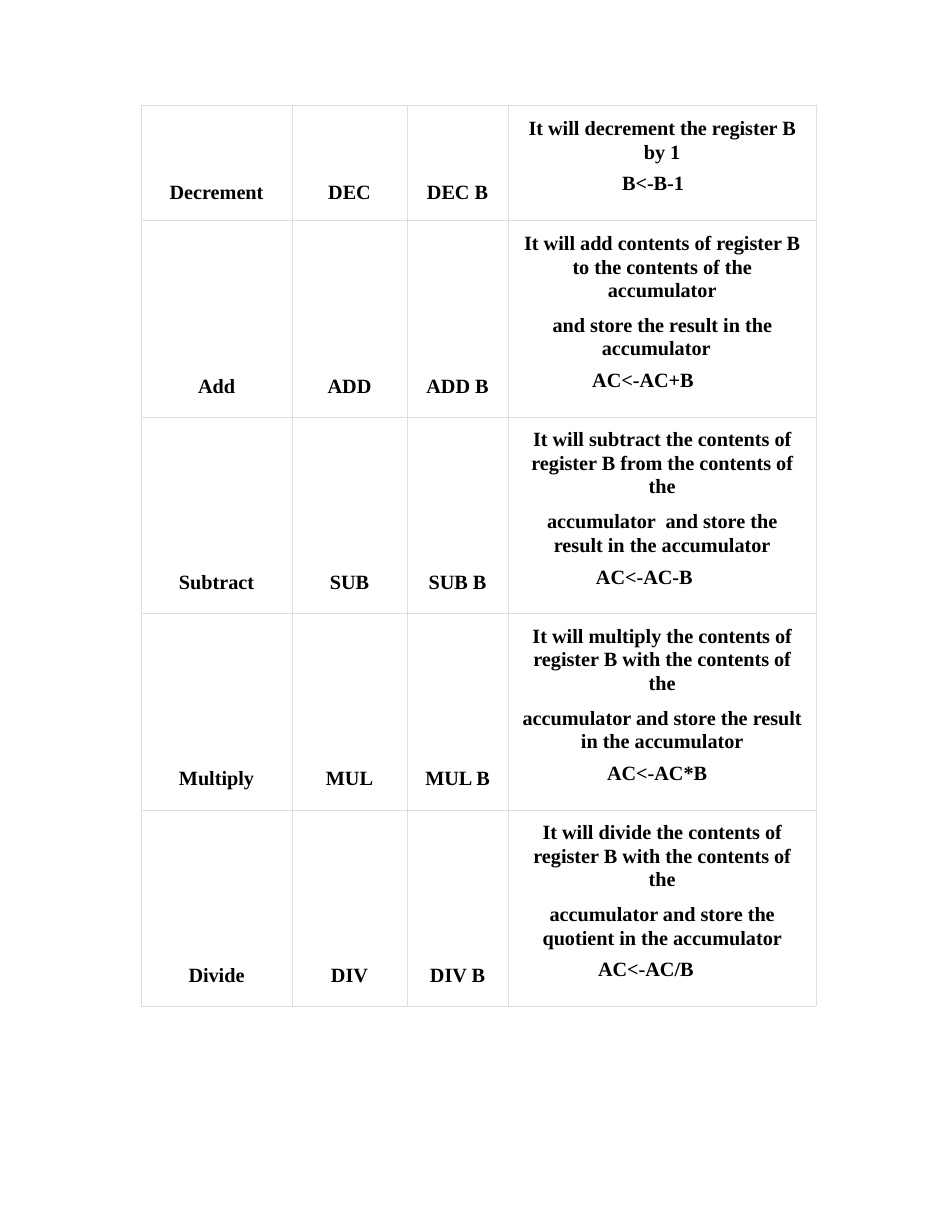
from collections import namedtuple
from dataclasses import dataclass

from lxml.etree import SubElement
from pptx import Presentation
from pptx.dml.color import RGBColor
from pptx.enum.text import MSO_ANCHOR, PP_ALIGN
from pptx.oxml.ns import qn
from pptx.util import Cm, Pt


@dataclass(frozen=True)
class Theme:
    """Colours, font and type sizes of the slide."""
    font: str = "Times New Roman"
    size: Pt = Pt(13)
    leading: Pt = Pt(15.1)
    ink: RGBColor = RGBColor(0, 0, 0)
    rule: str = "DFDFDF"
    rule_width: Pt = Pt(0.25)


THEME = Theme()
Box = namedtuple("Box", "left top width height")
Para = namedtuple("Para", "text left right hang before", defaults=(0, 7.2))
Row = namedtuple("Row", "name mnemonic share label_gap details")

COLUMN_SHARES = (3.42, 2.61, 2.29, 6.99)
FORMULA_SPACE = 6.2


def body(text, margin):
    """Describe a centred paragraph with equal side margins."""
    return Para(text, margin, margin)


def formula(text, right):
    """Describe a register transfer line shifted left by its right margin."""
    return Para(text, 0, right, before=FORMULA_SPACE)


ROWS = (
    Row("Decrement", "DEC", 2.61, 0.37, (
        body("It will decrement the register B by 1", 0.4),
        formula("B<-B-1", 0.41))),
    Row("Add", "ADD", 4.46, 0.44, (
        body("It will add contents of register B to the contents of the accumulator", 0.28),
        Para("and store the result in the accumulator", 2.13, 0, -1.12),
        formula("AC<-AC+B", 0.87))),
    Row("Subtract", "SUB", 4.46, 0.44, (
        body("It will subtract the contents of register B from the contents of the", 0.45),
        body("accumulator  and store the result in the accumulator", 0.82),
        formula("AC<-AC-B", 0.81))),
    Row("Multiply", "MUL", 4.46, 0.44, (
        body("It will multiply the contents of register B with the contents of the", 0.5),
        body("accumulator and store the result in the accumulator", 0.25),
        formula("AC<-AC*B", 0.23))),
    Row("Divide", "DIV", 4.46, 0.44, (
        body("It will divide the contents of register B with the contents of the", 0.5),
        body("accumulator and store the quotient in the accumulator", 0.72),
        formula("AC<-AC/B", 0.74))),
)


def add_text(p, text):
    """Add one bold run to a paragraph."""
    r = p.add_run()
    r.text = text
    r.font.name, r.font.size, r.font.bold = THEME.font, THEME.size, True
    r.font.color.rgb = THEME.ink


def style_cell(cell, top=0, bottom=0):
    """Give a cell its margins, thin borders and no fill."""
    cell.margin_left = cell.margin_right = 0
    cell.margin_top, cell.margin_bottom = Cm(top), Cm(bottom)
    tcPr = cell._tc.get_or_add_tcPr()
    for side in ("a:lnL", "a:lnR", "a:lnT", "a:lnB"):
        ln = SubElement(tcPr, qn(side), w=str(THEME.rule_width))
        fill = SubElement(ln, qn("a:solidFill"))
        SubElement(fill, qn("a:srgbClr"), val=THEME.rule)
    cell.fill.background()


def fill_label(cell, text, gap):
    """Write a centred label near the bottom of a cell."""
    style_cell(cell, bottom=gap)
    cell.vertical_anchor = MSO_ANCHOR.BOTTOM
    p = cell.text_frame.paragraphs[0]
    p.alignment = PP_ALIGN.CENTER
    add_text(p, text)


def fill_details(cell, details):
    """Write the description paragraphs of an instruction."""
    style_cell(cell, top=0.25)
    tf = cell.text_frame
    for i, para in enumerate(details):
        p = tf.add_paragraph() if i else tf.paragraphs[0]
        p.alignment = PP_ALIGN.LEFT if para.hang else PP_ALIGN.CENTER
        p.space_before = Pt(para.before)
        if para.before != FORMULA_SPACE:
            p.line_spacing = THEME.leading
        pPr = p._p.get_or_add_pPr()
        for key, value in (("marL", para.left), ("marR", para.right), ("indent", para.hang)):
            pPr.set(key, str(Cm(value)))
        add_text(p, para.text)


def add_instruction_table(s, box):
    """Place the instruction table inside the box."""
    table = s.shapes.add_table(len(ROWS), len(COLUMN_SHARES), *box).table
    table.first_row = table.horz_banding = False
    for column, share in zip(table.columns, COLUMN_SHARES):
        column.width = int(box.width * share / sum(COLUMN_SHARES))
    total = sum(row.share for row in ROWS)
    for i, row in enumerate(ROWS):
        table.rows[i].height = int(box.height * row.share / total)
        for j, text in enumerate((row.name, row.mnemonic, f"{row.mnemonic} B")):
            fill_label(table.cell(i, j), text, row.label_gap)
        fill_details(table.cell(i, 3), row.details)


def main():
    """Build and save the slide."""
    prs = Presentation()
    prs.slide_width, prs.slide_height = Cm(21.59), Cm(27.94)
    s = prs.slides.add_slide(prs.slide_layouts[6])
    add_instruction_table(s, Box(Cm(3.2), Cm(2.39), Cm(15.31), Cm(20.43)))
    prs.save("out.pptx")


if __name__ == "__main__":
    main()
